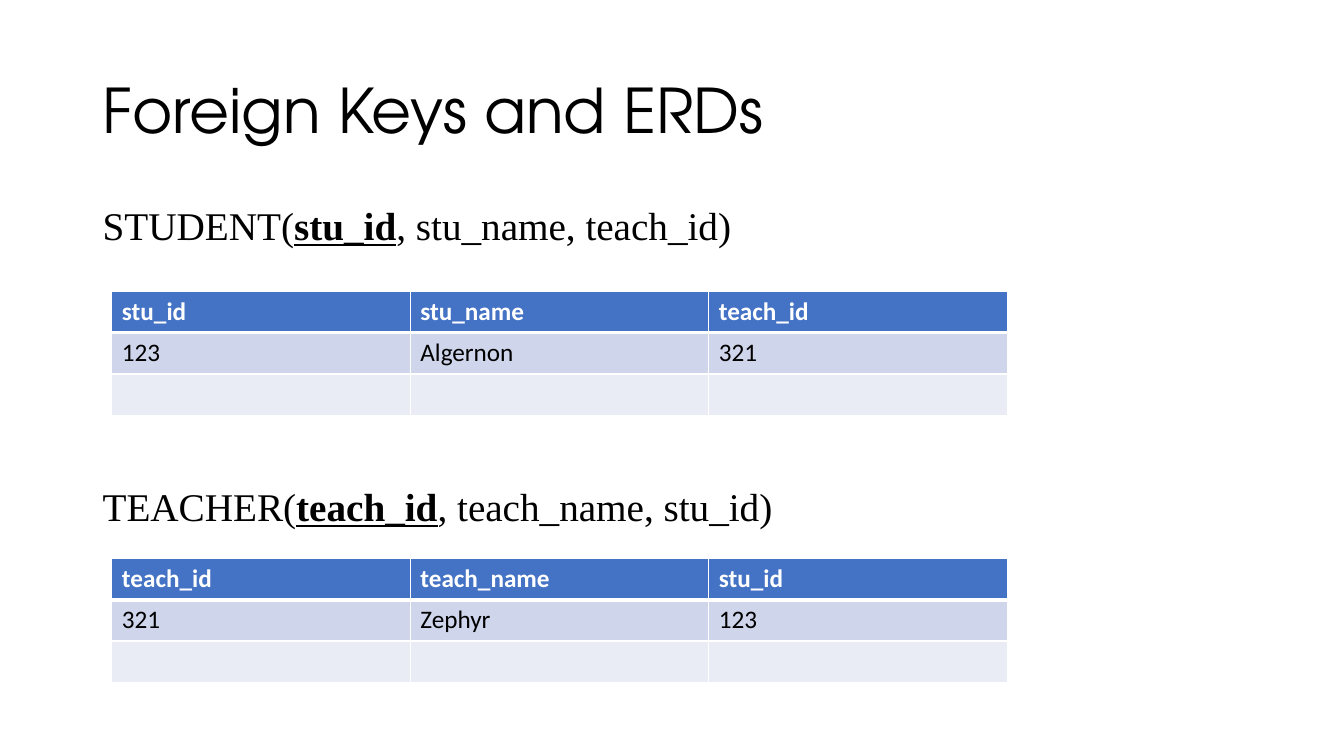
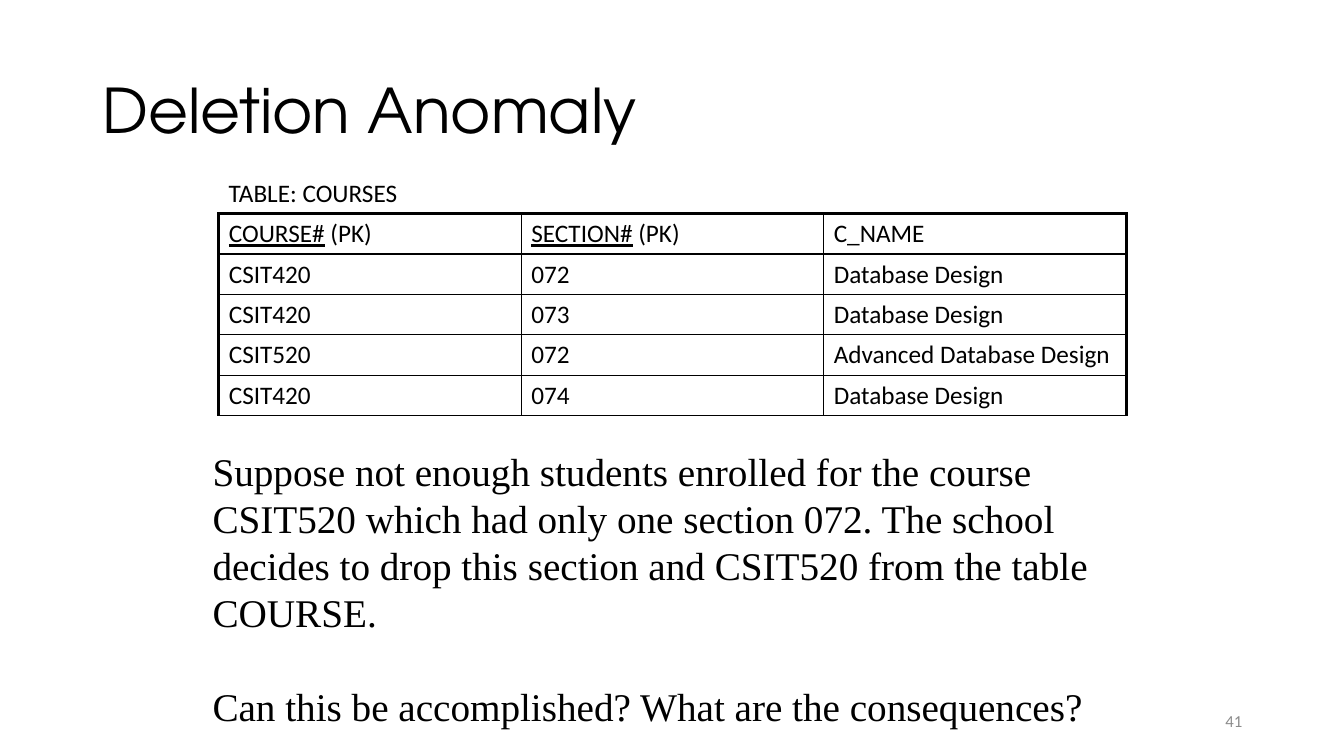
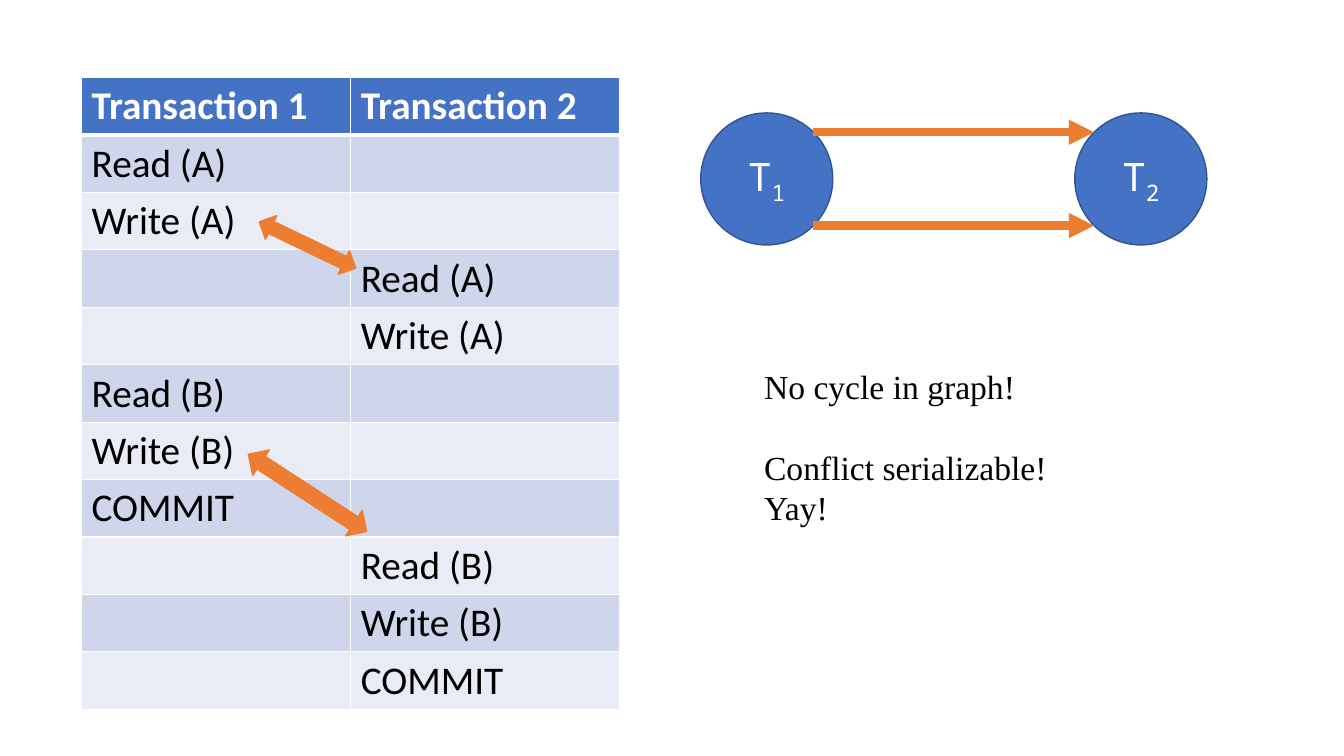
from lxml import etree
from math import cos, pi
from pptx import Presentation
from pptx.dml.color import RGBColor
from pptx.enum.shapes import MSO_CONNECTOR, MSO_SHAPE
from pptx.enum.text import MSO_ANCHOR, PP_ALIGN
from pptx.oxml.ns import qn
from pptx.util import Inches, Pt

# Shared look
BLACK = RGBColor(0x00, 0x00, 0x00)
WHITE = RGBColor(0xFF, 0xFF, 0xFF)
GREY = RGBColor(0x8C, 0x8C, 0x8C)
BLUE = RGBColor(0x44, 0x72, 0xC4)
DARK_BLUE = RGBColor(0x32, 0x54, 0x91)
BAND_DARK = RGBColor(0xCF, 0xD5, 0xEA)
BAND_LIGHT = RGBColor(0xE9, 0xEB, 0xF5)
ORANGE = RGBColor(0xED, 0x7D, 0x31)
TITLE_FONT = "TeX Gyre Adventor"
BODY_FONT = "Times New Roman"
TABLE_FONT = "Calibri"
NODE_FONT = "Noto Sans Mono"


def format_runs(paragraph, size, font, color=BLACK, bold=False):
    for run in paragraph.runs:
        run.font.size = Pt(size)
        run.font.name = font
        run.font.color.rgb = color
        run.font.bold = bold


def write_key(paragraph, before, key, after):
    """Write a line in which the key part is underlined; return the key run."""
    paragraph.text = before
    key_run = paragraph.add_run()
    key_run.text = key
    key_run.font.underline = True
    paragraph.add_run().text = after
    return key_run


def add_text(slide, box, text, size, font, color=BLACK, anchor=MSO_ANCHOR.TOP,
             align=PP_ALIGN.LEFT, gap=0):
    """Add a wrapped text box; gap is the space in points between paragraphs."""
    frame = slide.shapes.add_textbox(*map(Inches, box)).text_frame
    frame.word_wrap = True
    frame.vertical_anchor = anchor
    frame.text = text
    for index, paragraph in enumerate(frame.paragraphs):
        paragraph.alignment = align
        if index:
            paragraph.space_before = Pt(gap)
        format_runs(paragraph, size, font, color)
    return frame


def add_title(slide, text):
    frame = add_text(slide, (0.92, 0.4, 11.5, 1.45), text, 44, TITLE_FONT,
                     anchor=MSO_ANCHOR.MIDDLE)
    frame.paragraphs[0].line_spacing = 0.9


def add_schema(slide, top, before, key, after):
    """Add a relation schema line with its primary key in bold underline."""
    frame = add_text(slide, (0.92, top, 11.5, 0.6), "", 28, BODY_FONT)
    paragraph = frame.paragraphs[0]
    paragraph.line_spacing = 0.9
    key_run = write_key(paragraph, before, key, after)
    format_runs(paragraph, 28, BODY_FONT)
    key_run.font.bold = True


def set_borders(cell, color, left, right, top, bottom):
    properties = cell._tc.get_or_add_tcPr()
    for side, width in zip("LRTB", (left, right, top, bottom)):
        line = etree.SubElement(properties, qn(f"a:ln{side}"), w=str(Pt(width)))
        solid = etree.SubElement(line, qn("a:solidFill"))
        etree.SubElement(solid, qn("a:srgbClr"), val=str(color))


def add_grid(slide, left, top, col_width, row_height, rows):
    """Add a plain table filled with the given rows."""
    count, columns = len(rows), len(rows[0])
    table = slide.shapes.add_table(
        count, columns, Inches(left), Inches(top),
        Inches(col_width * columns), Inches(row_height * count)).table
    table.first_row = table.horz_banding = False
    for r, row in enumerate(rows):
        for c, text in enumerate(row):
            table.cell(r, c).text = text
    return table


def add_banded_table(slide, left, top, col_width, row_height, rows, size):
    table = add_grid(slide, left, top, col_width, row_height, rows)
    for r, row in enumerate(table.rows):
        header = r == 0
        for cell in row.cells:
            set_borders(cell, WHITE, 1, 1, 3 if r == 1 else 1, 3 if header else 1)
            cell.fill.solid()
            cell.fill.fore_color.rgb = (
                BLUE if header else BAND_DARK if r % 2 else BAND_LIGHT)
            paragraph = cell.text_frame.paragraphs[0]
            paragraph.font.size = Pt(size)
            format_runs(paragraph, size, TABLE_FONT,
                        WHITE if header else BLACK, header)


def add_outlined_table(slide, left, top, col_width, row_height, rows, keys):
    """Add an unfilled table; keys are the underlined key column names."""
    table = add_grid(slide, left, top, col_width, row_height, rows)
    last = len(rows[0]) - 1
    for r, row in enumerate(table.rows):
        for c, cell in enumerate(row.cells):
            set_borders(cell, BLACK, 1 if c else 2.25, 2.25 if c == last else 1,
                        1 if r else 2.25, 1)
            cell.fill.background()
            paragraph = cell.text_frame.paragraphs[0]
            if r == 0 and c < len(keys):
                write_key(paragraph, "", keys[c], " (PK)")
            format_runs(paragraph, 18, TABLE_FONT)


def add_filled_shape(slide, kind, box, fill, outline):
    shape = slide.shapes.add_shape(kind, *map(Inches, box))
    shape.shadow.inherit = False
    shape.fill.solid()
    shape.fill.fore_color.rgb = fill
    shape.line.color.rgb = outline
    shape.line.width = Pt(1)
    return shape


def add_node(slide, left, top, diameter, number):
    """Add a transaction node labelled T with a subscript number."""
    node = add_filled_shape(slide, MSO_SHAPE.OVAL,
                            (left, top, diameter, diameter), BLUE, DARK_BLUE)
    frame = node.text_frame
    frame.vertical_anchor = MSO_ANCHOR.MIDDLE
    label = frame.paragraphs[0]
    label.text = "T"
    label.alignment = PP_ALIGN.CENTER
    subscript = label.add_run()
    subscript.text = number
    format_runs(label, 28, NODE_FONT, WHITE)
    subscript._r.get_or_add_rPr().set("baseline", "-25000")


def add_conflict_arrow(slide, box, rotation):
    arrow = add_filled_shape(slide, MSO_SHAPE.UP_DOWN_ARROW, box, ORANGE, ORANGE)
    arrow.rotation = rotation


def add_edge(slide, start, end, y):
    edge = slide.shapes.add_connector(
        MSO_CONNECTOR.STRAIGHT, Inches(start), Inches(y), Inches(end), Inches(y))
    edge.line.color.rgb = ORANGE
    edge.line.width = Pt(6)
    etree.SubElement(edge.line._get_or_add_ln(), qn("a:tailEnd"), type="triangle")
    etree.SubElement(edge._element.spPr, qn("a:effectLst"))


def build_foreign_keys(slide):
    add_title(slide, "Foreign Keys and ERDs")
    relations = [
        (2, 2.89, ("STUDENT(", "stu_id", ", stu_name, teach_id)"),
         [("stu_id", "stu_name", "teach_id"), ("123", "Algernon", "321")]),
        (4.79, 5.54, ("TEACHER(", "teach_id", ", teach_name, stu_id)"),
         [("teach_id", "teach_name", "stu_id"), ("321", "Zephyr", "123")]),
    ]
    for schema_top, table_top, schema, rows in relations:
        add_schema(slide, schema_top, *schema)
        add_banded_table(slide, 1.11, table_top, 2.96, 0.41,
                         rows + [("", "", "")], 18)


def build_deletion_anomaly(slide):
    add_title(slide, "Deletion Anomaly")
    add_text(slide, (2.17, 1.71, 5, 0.4), "TABLE: COURSES", 18, TABLE_FONT)
    courses = [
        ("", "", "C_NAME"),
        ("CSIT420", "072", "Database Design"),
        ("CSIT420", "073", "Database Design"),
        ("CSIT520", "072", "Advanced Database Design"),
        ("CSIT420", "074", "Database Design"),
    ]
    add_outlined_table(slide, 2.17, 2.12, 3, 0.4, courses, ("COURSE#", "SECTION#"))
    add_text(slide, (2.01, 4.39, 9.5, 2.46),
             "Suppose not enough students enrolled for the course CSIT520 which "
             "had only one section 072. The school decides to drop this section "
             "and CSIT520 from the table COURSE.\n"
             "Can this be accomplished? What are the consequences?",
             28, BODY_FONT, gap=33.6)
    # Page number
    add_text(slide, (9.42, 6.95, 3, 0.4), "41", 12, TABLE_FONT, GREY,
             MSO_ANCHOR.MIDDLE, PP_ALIGN.RIGHT)


def build_conflict_graph(slide):
    # Schedule: transaction column and operation, in time order
    schedule = [
        (0, "Read (A)"), (0, "Write (A)"), (1, "Read (A)"), (1, "Write (A)"),
        (0, "Read (B)"), (0, "Write (B)"), (0, "COMMIT"),
        (1, "Read (B)"), (1, "Write (B)"), (1, "COMMIT"),
    ]
    rows = [("Transaction 1", "Transaction 2")]
    rows += [("", step) if column else (step, "") for column, step in schedule]
    add_banded_table(slide, 0.81, 0.77, 2.67, 0.57, rows, 28)
    add_conflict_arrow(slide, (2.92, 1.9, 0.26, 1.06), 295.7)
    add_conflict_arrow(slide, (2.9, 4.19, 0.3, 1.4), 303.1)

    # Precedence graph: edges meet the circles at 45 degrees
    first_left, second_left, node_top, diameter = 6.95, 10.66, 1.12, 1.31
    add_node(slide, first_left, node_top, diameter, "1")
    add_node(slide, second_left, node_top, diameter, "2")
    radius = diameter / 2
    reach = radius * cos(pi / 4)
    for offset in (-reach, reach):
        add_edge(slide, first_left + radius + reach, second_left + radius - reach,
                 node_top + radius + offset)

    add_text(slide, (7.48, 3.58, 3.47, 1.31),
             "No cycle in graph!\nConflict serializable! Yay!",
             24, BODY_FONT, gap=28.8)


def main():
    deck = Presentation()
    deck.slide_width, deck.slide_height = Inches(13.33), Inches(7.5)
    blank = deck.slide_layouts[6]
    for build in (build_foreign_keys, build_deletion_anomaly, build_conflict_graph):
        build(deck.slides.add_slide(blank))
    deck.save("out.pptx")


if __name__ == "__main__":
    main()
